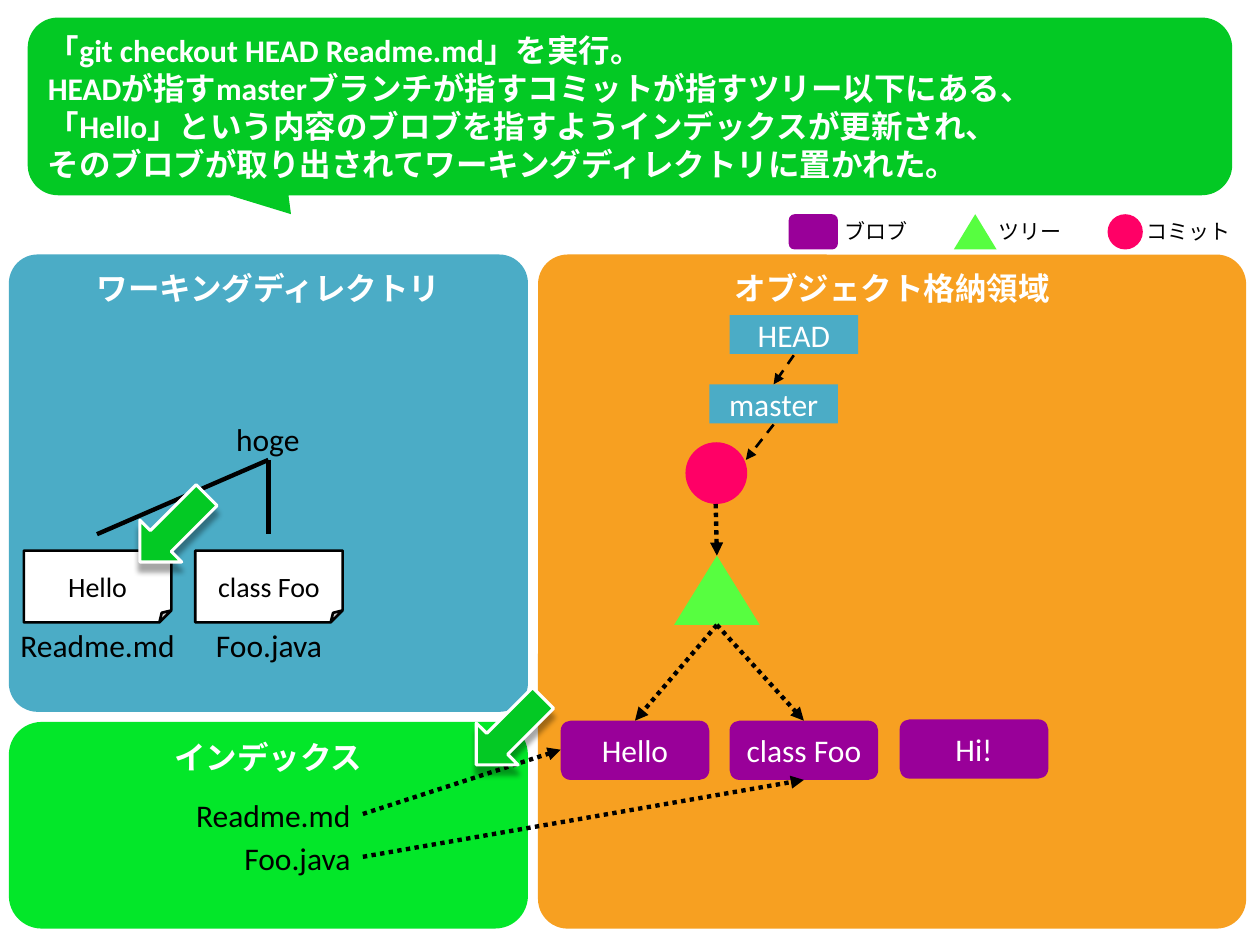
from dataclasses import dataclass
from math import cos, radians, sin

from lxml import etree
from pptx import Presentation
from pptx.dml.color import RGBColor
from pptx.enum.dml import MSO_LINE
from pptx.enum.shapes import MSO_CONNECTOR, MSO_SHAPE
from pptx.enum.text import MSO_ANCHOR, PP_ALIGN
from pptx.oxml.ns import qn
from pptx.util import Inches, Pt

ROUND, RECT = MSO_SHAPE.ROUNDED_RECTANGLE, MSO_SHAPE.RECTANGLE
OVAL, TRI = MSO_SHAPE.OVAL, MSO_SHAPE.ISOSCELES_TRIANGLE
NOTE, DOWN = MSO_SHAPE.FOLDED_CORNER, MSO_SHAPE.DOWN_ARROW
DOT, DASH = MSO_LINE.ROUND_DOT, MSO_LINE.DASH
LEFT, MID, RIGHT = PP_ALIGN.LEFT, PP_ALIGN.CENTER, PP_ALIGN.RIGHT
TOP, CENTER = MSO_ANCHOR.TOP, MSO_ANCHOR.MIDDLE
LATIN, KANA = "Calibri", "Noto Sans CJK JP"
BLACK, WHITE, TEAL, ORANGE = "000000", "FFFFFF", "4BACC6", "F7A021"
LIME, GREEN, PURPLE, PINK, LEAF = "03E729", "03C924", "990099", "FF0066", "57FE40"


@dataclass
class Box:
    x: float
    y: float
    w: float
    h: float


@dataclass
class Style:
    size: int = 18
    color: str = BLACK
    font: str = LATIN
    bold: bool = False
    align: PP_ALIGN = MID
    anchor: MSO_ANCHOR = CENTER
    side: float = 0.1
    top: float = 0


@dataclass
class Panel:
    title: str
    box: Box
    fill: str
    bend: float


@dataclass
class Key:
    label: str
    kind: MSO_SHAPE
    fill: str
    mark: Box
    text: Box


HEAD = Style(color=WHITE, font=KANA, bold=True, anchor=TOP, top=0.05)
SPEECH = Style(color=WHITE, bold=True, align=LEFT, anchor=TOP, side=0.16, top=0.11)
LIGHT = Style(color=WHITE, side=0.04)
PLAIN, SMALL = Style(), Style(size=16)
ENTRY = Style(align=RIGHT)
LEGEND = Style(size=12, font=KANA, side=0)

prs = Presentation()
prs.slide_width, prs.slide_height = Inches(10), Inches(7.5)
shapes = prs.slides.add_slide(prs.slide_layouts[6]).shapes


def rgb(code: str) -> RGBColor:
    return RGBColor.from_string(code)


def place(box: Box) -> list[int]:
    return [Inches(v) for v in (box.x, box.y, box.w, box.h)]


def write(shape, text: str, style: Style) -> None:
    frame = shape.text_frame
    frame.word_wrap = True
    frame.vertical_anchor = style.anchor
    frame.margin_left = frame.margin_right = Inches(style.side)
    frame.margin_top, frame.margin_bottom = Inches(style.top), 0
    frame.text = text
    for para in frame.paragraphs:
        para.alignment = style.align
        font = para.font
        font.name, font.size, font.bold = style.font, Pt(style.size), style.bold
        font.color.rgb = rgb(style.color)


def paint(shape, fill: str, edge: str = "", width: float = 0) -> None:
    shape.shadow.inherit = False
    shape.fill.solid()
    shape.fill.fore_color.rgb = rgb(fill)
    if edge:
        shape.line.color.rgb = rgb(edge)
        shape.line.width = Pt(width)
    else:
        shape.line.fill.background()


def draw(kind: MSO_SHAPE, box: Box, fill: str, edge: str = "", width: float = 0):
    shape = shapes.add_shape(kind, *place(box))
    paint(shape, fill, edge, width)
    return shape


def label(text: str, box: Box, style: Style) -> None:
    write(shapes.add_textbox(*place(box)), text, style)


def link(start: tuple, end: tuple, width: float = 2.5, dash=None) -> None:
    """Draw a line; a dashed one ends in an arrowhead."""
    ends = [Inches(v) for v in (*start, *end)]
    line = shapes.add_connector(MSO_CONNECTOR.STRAIGHT, *ends)
    line.line.color.rgb = rgb(BLACK)
    line.line.width = Pt(width)
    props = line._element.spPr
    if dash:
        line.line.dash_style = dash
        etree.SubElement(props.find(qn("a:ln")), qn("a:tailEnd"), type="triangle")
    etree.SubElement(props, qn("a:effectLst"))


def callout(box: Box, bend: float, tail: list[tuple], text: str) -> None:
    """Draw a rounded speech box whose bottom edge runs through the tail points."""
    left, right = box.x + bend, box.x + box.w - bend
    high, low = box.y + bend, box.y + box.h - bend
    turns = [(right, high, -90), (right, low, 0), (left, low, 90), (left, high, 180)]
    dots = []
    for cx, cy, start in turns:
        if start == 90:
            dots += tail
        for step in range(0, 91, 6):
            turn = radians(start + step)
            dots.append((cx + bend * cos(turn), cy + bend * sin(turn)))
    dots = [(Inches(x), Inches(y)) for x, y in dots]
    path = shapes.build_freeform(*dots[0])
    path.add_line_segments(dots[1:], close=True)
    shape = path.convert_to_shape()
    paint(shape, GREEN)
    write(shape, text, SPEECH)


def pointer(x: float, y: float) -> None:
    """Draw a slanted block arrow with a soft shadow."""
    shape = draw(DOWN, Box(x, y, 0.47, 0.75), GREEN, WHITE, 1.75)
    shape.rotation = 45
    glow = etree.SubElement(
        shape._element.spPr.find(qn("a:effectLst")), qn("a:outerShdw"),
        blurRad=str(Pt(3.1)), dist=str(Pt(5)), dir="5400000", rotWithShape="0")
    tint = etree.SubElement(glow, qn("a:srgbClr"), val=BLACK)
    etree.SubElement(tint, qn("a:alpha"), val="35000")


callout(Box(0.22, 0.14, 9.56, 1.41), 0.24, [(2.29, 1.55), (2.31, 1.7), (1.82, 1.55)],
        "「git checkout HEAD Readme.md」を実行。\n"
        "HEADが指すmasterブランチが指すコミットが指すツリー以下にある、\n"
        "「Hello」という内容のブロブを指すようインデックスが更新され、\n"
        "そのブロブが取り出されてワーキングディレクトリに置かれた。")

for panel in (
    Panel("オブジェクト格納領域", Box(4.27, 2.02, 5.62, 5.35), ORANGE, 0.044),
    Panel("インデックス", Box(0.07, 5.73, 4.12, 1.64), LIME, 0.159),
    Panel("ワーキングディレクトリ", Box(0.07, 2.02, 4.12, 3.63), TEAL, 0.063),
):
    pane = draw(ROUND, panel.box, panel.fill)
    pane.adjustments[0] = panel.bend
    write(pane, panel.title, HEAD)

for key in (
    Key("ブロブ", ROUND, PURPLE, Box(6.26, 1.7, 0.39, 0.28), Box(6.6, 1.68, 0.71, 0.31)),
    Key("ツリー", TRI, LEAF, Box(7.57, 1.7, 0.34, 0.28), Box(7.82, 1.68, 0.71, 0.31)),
    Key("コミット", OVAL, PINK, Box(8.79, 1.7, 0.28, 0.28), Box(8.96, 1.68, 0.95, 0.31)),
):
    draw(key.kind, key.mark, key.fill)
    label(key.label, key.text, LEGEND)

# Working directory
label("hoge", Box(1.6, 3.32, 1.05, 0.33), PLAIN)
for x, body, name in ((0.19, "Hello", "Readme.md"), (1.55, "class Foo", "Foo.java")):
    page = Box(x, 4.37, 1.17, 0.57)
    draw(NOTE, page, WHITE, BLACK, 1.5)
    label(body, page, SMALL)
    label(name, Box(x - 0.18, 4.96, 1.53, 0.31), PLAIN)
    link((2.13, 3.65), (x + 0.58, 4.24))

# Object store
for x, y, name in ((4.45, 5.72, "Hello"), (5.79, 5.72, "class Foo"), (7.14, 5.71, "Hi!")):
    write(draw(ROUND, Box(x, y, 1.18, 0.47), PURPLE), name, LIGHT)
for x, y, name in ((5.79, 2.5, "HEAD"), (5.63, 3.05, "master")):
    write(draw(RECT, Box(x, y, 1.02, 0.31), TEAL), name, LIGHT)
draw(OVAL, Box(5.44, 3.51, 0.49, 0.49), PINK)
draw(TRI, Box(5.35, 4.41, 0.68, 0.55), LEAF)
link((6.3, 2.82), (6.14, 3.05), 1.5, DASH)
link((6.14, 3.37), (5.92, 3.65), 1.5, DASH)
link((5.68, 4), (5.69, 4.41), dash=DOT)
for x in (5.04, 6.38):
    link((5.69, 4.96), (x, 5.72), dash=DOT)

# Index
for y, name, end in ((6.46, "Readme.md", (4.45, 5.95)), (6.8, "Foo.java", (6.38, 6.19))):
    label(name, Box(1.38, y - 0.15, 1.5, 0.31), ENTRY)
    link((2.88, y), end, dash=DOT)

pointer(1.14, 3.82)
pointer(3.81, 5.43)
prs.save("out.pptx")
